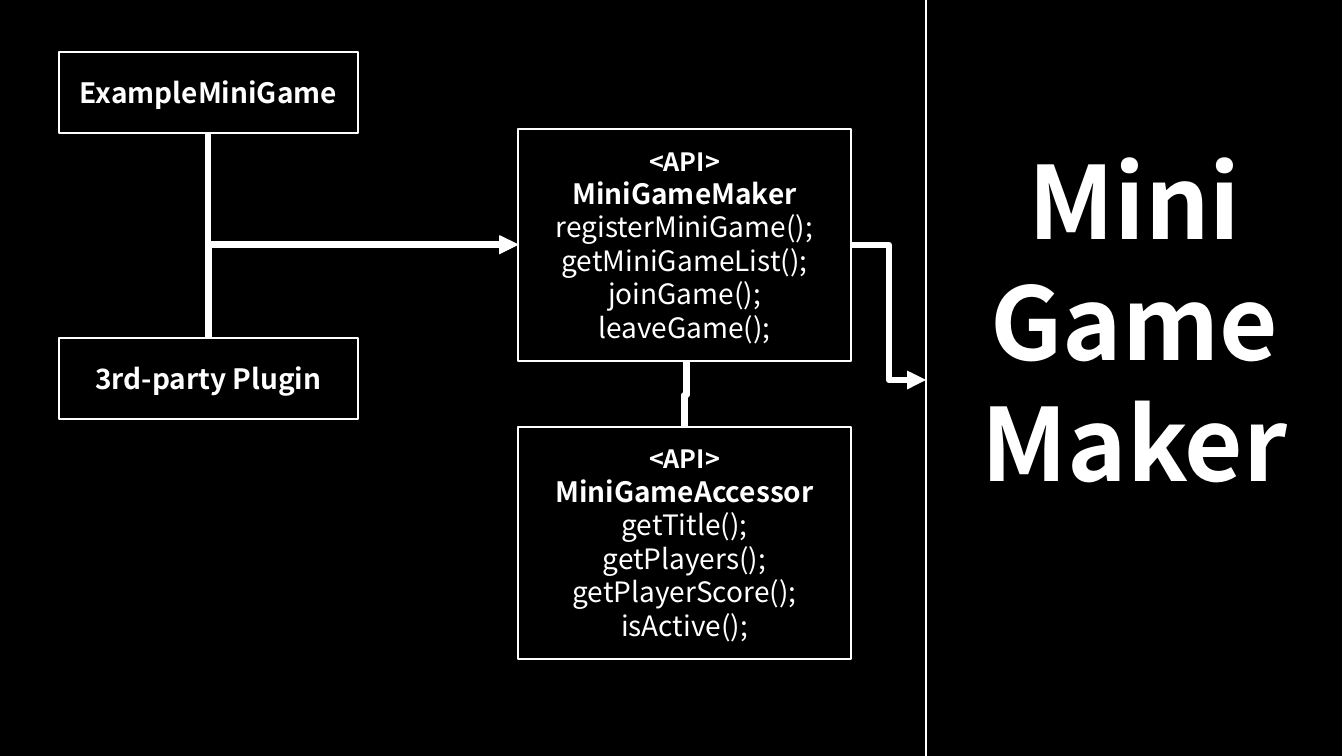
"""Builds the MiniGameMaker architecture slide."""
from pptx import Presentation
from pptx.dml.color import RGBColor
from pptx.enum.shapes import MSO_CONNECTOR, MSO_SHAPE
from pptx.enum.text import MSO_ANCHOR, PP_ALIGN
from pptx.oxml.ns import qn
from pptx.util import Pt
from lxml.etree import SubElement

SCALE = 914400 / 100.8
FONT = "Noto Sans CJK KR"
BLACK, WHITE = "000000", "FFFFFF"


def px(length):
    return round(length * SCALE)


def paint(target, color):
    target.solid()
    target.fore_color.rgb = RGBColor.from_string(color)


deck = Presentation()
deck.slide_width, deck.slide_height = px(1344), px(756)
page = deck.slides.add_slide(deck.slide_layouts[6])
paint(page.background.fill, BLACK)

accessor = [("<API>", 18, True), ("MiniGameAccessor", 20, True)] + [
    (name, 20, False) for name in ("getTitle();", "getPlayers();", "getPlayerScore();", "isActive();")]
maker = [("<API>", 18, True), ("MiniGameMaker", 20, True)] + [
    (name, 20, False) for name in ("registerMiniGame();", "getMiniGameList();", "joinGame();", "leaveGame();")]
title = [(word, 72, True) for word in ("Mini", "Game", "Maker")]

boxes = [
    (518, 427, 333, 232, 5, accessor),
    (518, 129, 333, 232, 5, maker),
    (926, -19, 417, 799, 126, title),
    (59, 52, 299, 81, 5, [("ExampleMiniGame", 20, True)]),
    (59, 338, 299, 81, 5, [("3rd-party Plugin", 20, True)]),
]
for left, top, width, height, bottom_inset, lines in boxes:
    box = page.shapes.add_shape(
        MSO_SHAPE.FLOWCHART_PROCESS, px(left), px(top), px(width), px(height))
    box.shadow.inherit = False
    paint(box.fill, BLACK)
    paint(box.line.fill, WHITE)
    box.line.width = Pt(1)
    frame = box.text_frame
    frame.word_wrap = True
    frame.vertical_anchor = MSO_ANCHOR.MIDDLE
    frame.margin_bottom = px(bottom_inset)
    for index, (text, size, bold) in enumerate(lines):
        para = frame.add_paragraph() if index else frame.paragraphs[0]
        para.alignment = PP_ALIGN.CENTER
        span = para.add_run()
        span.text = text
        span.font.name = FONT
        span.font.size = Pt(size)
        span.font.bold = bold
        paint(span.font.fill, WHITE)
        SubElement(span.font._element, qn("a:ea")).set("typeface", FONT)

links = [
    ("bentConnector2", 307, 34, 112, 310, 270, ["flipH"], True),
    ("bentConnector3", 652, 394, 67, 2, 90, ["flipH", "flipV"], False),
    ("bentConnector3", 852, 245, 74, 135, 0, [], True),
    ("bentConnector2", 317, 136, 93, 310, 90, ["flipH", "flipV"], True),
]
for preset, left, top, width, height, turn, flips, arrow in links:
    link = page.shapes.add_connector(
        MSO_CONNECTOR.ELBOW, px(left), px(top), px(left + width), px(top + height))
    paint(link.line.fill, WHITE)
    link.line.width = Pt(4.5)
    properties = link._element.spPr
    properties.find(qn("a:prstGeom")).set("prst", preset)
    frame = properties.find(qn("a:xfrm"))
    frame.set("rot", str(turn * 60000))
    for flip in flips:
        frame.set(flip, "1")
    if arrow:
        SubElement(properties.find(qn("a:ln")), qn("a:tailEnd")).set("type", "triangle")
    SubElement(properties, qn("a:effectLst"))

deck.save("out.pptx")
